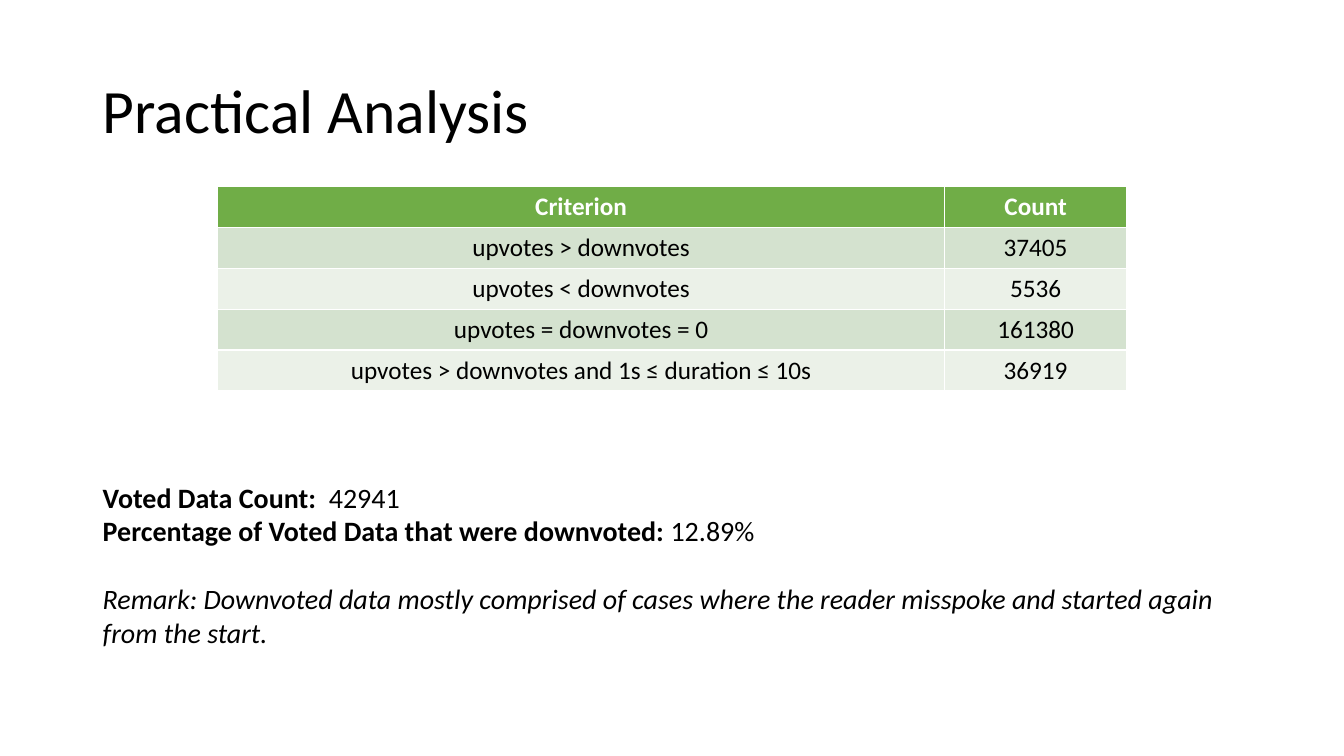
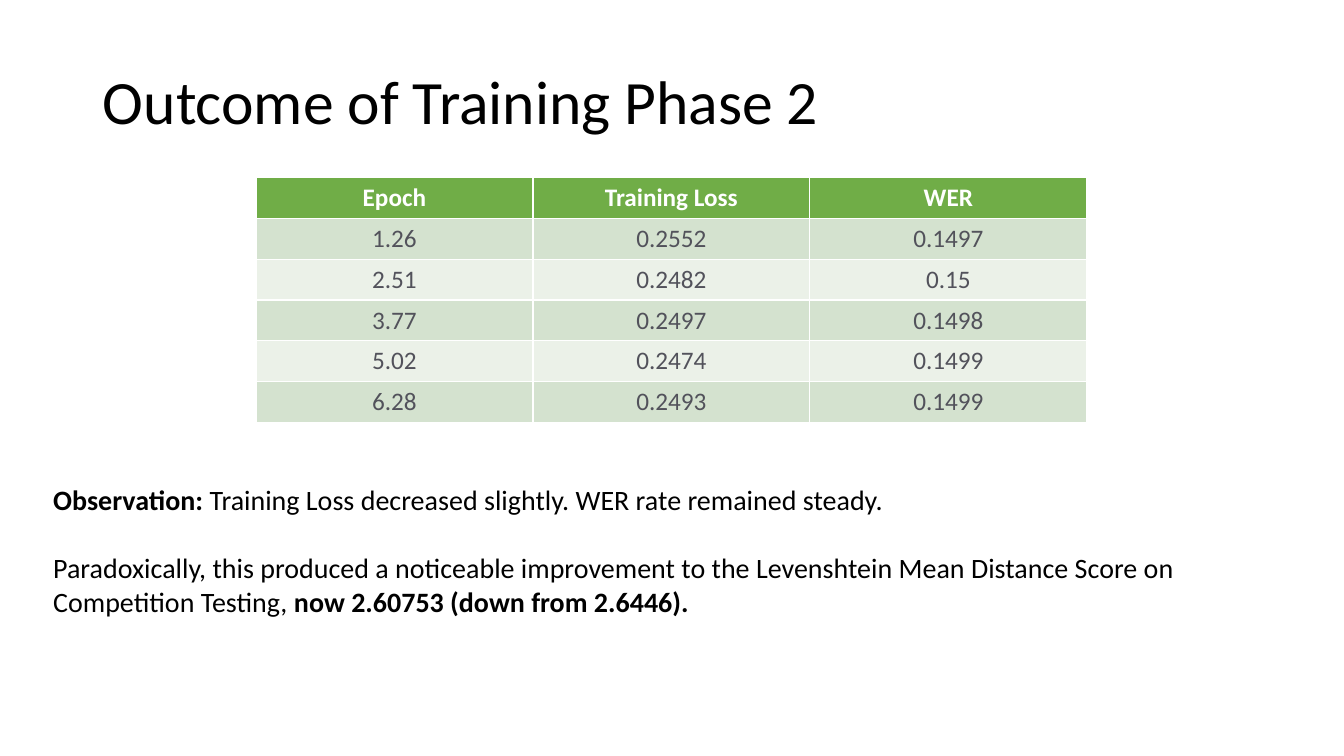
from dataclasses import dataclass

from pptx import Presentation
from pptx.dml.color import RGBColor
from pptx.enum import text
from pptx.slide import Slide
from pptx.util import Cm, Pt

FONT = "Calibri"
BLACK = RGBColor(0x00, 0x00, 0x00)
WHITE = RGBColor(0xFF, 0xFF, 0xFF)
GREY = RGBColor(0x52, 0x52, 0x5B)
GREEN = RGBColor(0x70, 0xAD, 0x47)
BANDS = (RGBColor(0xD4, 0xE2, 0xCF), RGBColor(0xEB, 0xF1, 0xE8))

ROW_HEIGHT = Cm(1.03)
NOTE_SIZE = Pt(20)
NOTE_GAP = Pt(24.4)


@dataclass(frozen=True)
class Span:
    words: str
    bold: bool = False
    italic: bool = False


@dataclass(frozen=True)
class NoteLine:
    spans: tuple[Span, ...]
    gap_above: bool = False


@dataclass(frozen=True)
class Grid:
    left: Cm
    top: Cm
    widths: tuple[Cm, ...]
    body_color: RGBColor
    rows: tuple[tuple[str, ...], ...]


@dataclass(frozen=True)
class Notes:
    left: Cm
    top: Cm
    width: Cm
    height: Cm
    lines: tuple[NoteLine, ...]


@dataclass(frozen=True)
class Page:
    title: str
    title_top: Cm
    grid: Grid
    notes: Notes


PAGES = (
    Page(
        "Practical Analysis",
        Cm(1.02),
        Grid(
            Cm(5.49), Cm(4.7), (Cm(18.31), Cm(4.6)), BLACK,
            (
                ("Criterion", "Count"),
                ("upvotes > downvotes", "37405"),
                ("upvotes < downvotes", "5536"),
                ("upvotes = downvotes = 0", "161380"),
                ("upvotes > downvotes and 1s ≤ duration ≤ 10s", "36919"),
            ),
        ),
        Notes(
            Cm(2.34), Cm(11.98), Cm(29.44), Cm(4.48),
            (
                NoteLine((Span("Voted Data Count:  ", bold=True), Span("42941"))),
                NoteLine((
                    Span("Percentage of Voted Data that were downvoted: ", bold=True),
                    Span("12.89%"),
                )),
                NoteLine(
                    (Span(
                        "Remark: Downvoted data mostly comprised of cases where the "
                        "reader misspoke and started again from the start.",
                        italic=True,
                    ),),
                    gap_above=True,
                ),
            ),
        ),
    ),
    Page(
        "Outcome of Training Phase 2",
        Cm(0.79),
        Grid(
            Cm(6.45), Cm(4.47), (Cm(6.98),) * 3, GREY,
            (
                ("Epoch", "Training Loss", "WER"),
                ("1.26", "0.2552", "0.1497"),
                ("2.51", "0.2482", "0.15"),
                ("3.77", "0.2497", "0.1498"),
                ("5.02", "0.2474", "0.1499"),
                ("6.28", "0.2493", "0.1499"),
            ),
        ),
        Notes(
            Cm(1.09), Cm(12.04), Cm(31.67), Cm(3.63),
            (
                NoteLine((
                    Span("Observation: ", bold=True),
                    Span("Training Loss decreased slightly. WER rate remained steady."),
                )),
                NoteLine(
                    (
                        Span(
                            "Paradoxically, this produced a noticeable improvement to the "
                            "Levenshtein Mean Distance Score on Competition Testing, "
                        ),
                        Span("now 2.60753 (down from 2.6446).", bold=True),
                    ),
                    gap_above=True,
                ),
            ),
        ),
    ),
)


def style_font(font: text.MSO_ANCHOR, size: Pt, color: RGBColor) -> None:
    font.name = FONT
    font.size = size
    font.color.rgb = color


def set_title(slide: Slide, words: str, top: Cm) -> None:
    title = slide.shapes.title
    title.left, title.top, title.width, title.height = Cm(2.34), top, Cm(29.21), Cm(3.68)
    frame = title.text_frame
    frame.text = words
    frame.vertical_anchor = text.MSO_ANCHOR.MIDDLE
    para = frame.paragraphs[0]
    para.alignment = text.PP_ALIGN.LEFT
    para.line_spacing = 0.9
    style_font(para.font, Pt(44), BLACK)


def add_grid(slide: Slide, grid: Grid) -> None:
    """Draw a table with a green header and alternating pale rows."""
    row_count = len(grid.rows)
    table = slide.shapes.add_table(
        row_count, len(grid.widths), grid.left, grid.top,
        sum(grid.widths), ROW_HEIGHT * row_count,
    ).table
    for column, width in zip(table.columns, grid.widths):
        column.width = width
    for index, (row, values) in enumerate(zip(table.rows, grid.rows)):
        is_header = index == 0
        row.height = ROW_HEIGHT
        for cell, value in zip(row.cells, values):
            cell.text = value
            cell.fill.solid()
            cell.fill.fore_color.rgb = GREEN if is_header else BANDS[(index - 1) % 2]
            para = cell.text_frame.paragraphs[0]
            para.alignment = text.PP_ALIGN.CENTER
            para.font.bold = is_header
            style_font(para.font, Pt(18), WHITE if is_header else grid.body_color)


def add_notes(slide: Slide, notes: Notes) -> None:
    box = slide.shapes.add_textbox(notes.left, notes.top, notes.width, notes.height)
    frame = box.text_frame
    frame.word_wrap = True
    for index, line in enumerate(notes.lines):
        para = frame.add_paragraph() if index else frame.paragraphs[0]
        style_font(para.font, NOTE_SIZE, BLACK)
        if line.gap_above:
            para.space_before = NOTE_GAP
        for span in line.spans:
            run = para.add_run()
            run.text = span.words
            run.font.bold = span.bold
            run.font.italic = span.italic


def main() -> None:
    deck = Presentation()
    deck.slide_width, deck.slide_height = Cm(33.87), Cm(19.05)
    title_only = deck.slide_layouts.get_by_name("Title Only")
    for page in PAGES:
        slide = deck.slides.add_slide(title_only)
        set_title(slide, page.title, page.title_top)
        add_grid(slide, page.grid)
        add_notes(slide, page.notes)
    deck.save("out.pptx")


if __name__ == "__main__":
    main()
